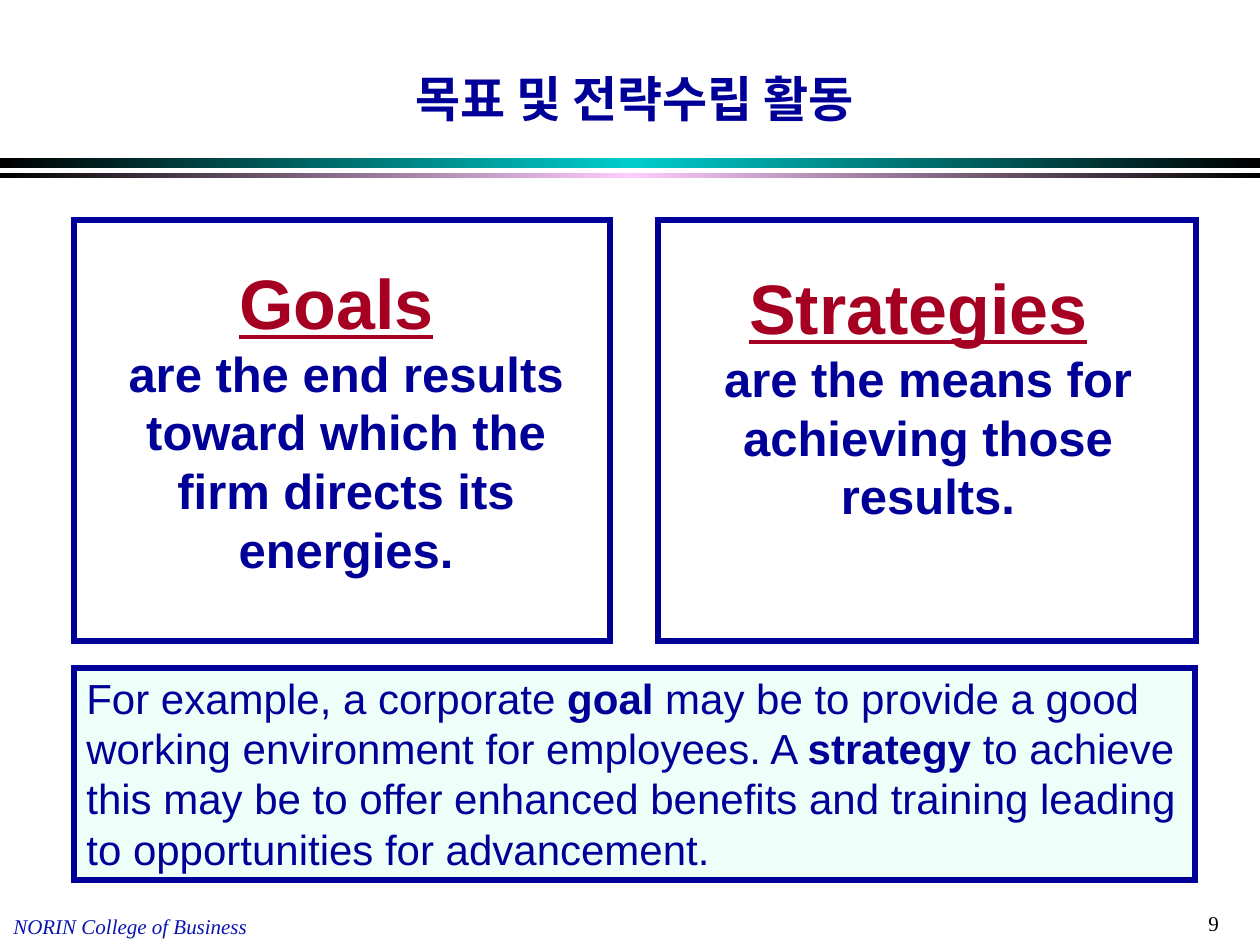
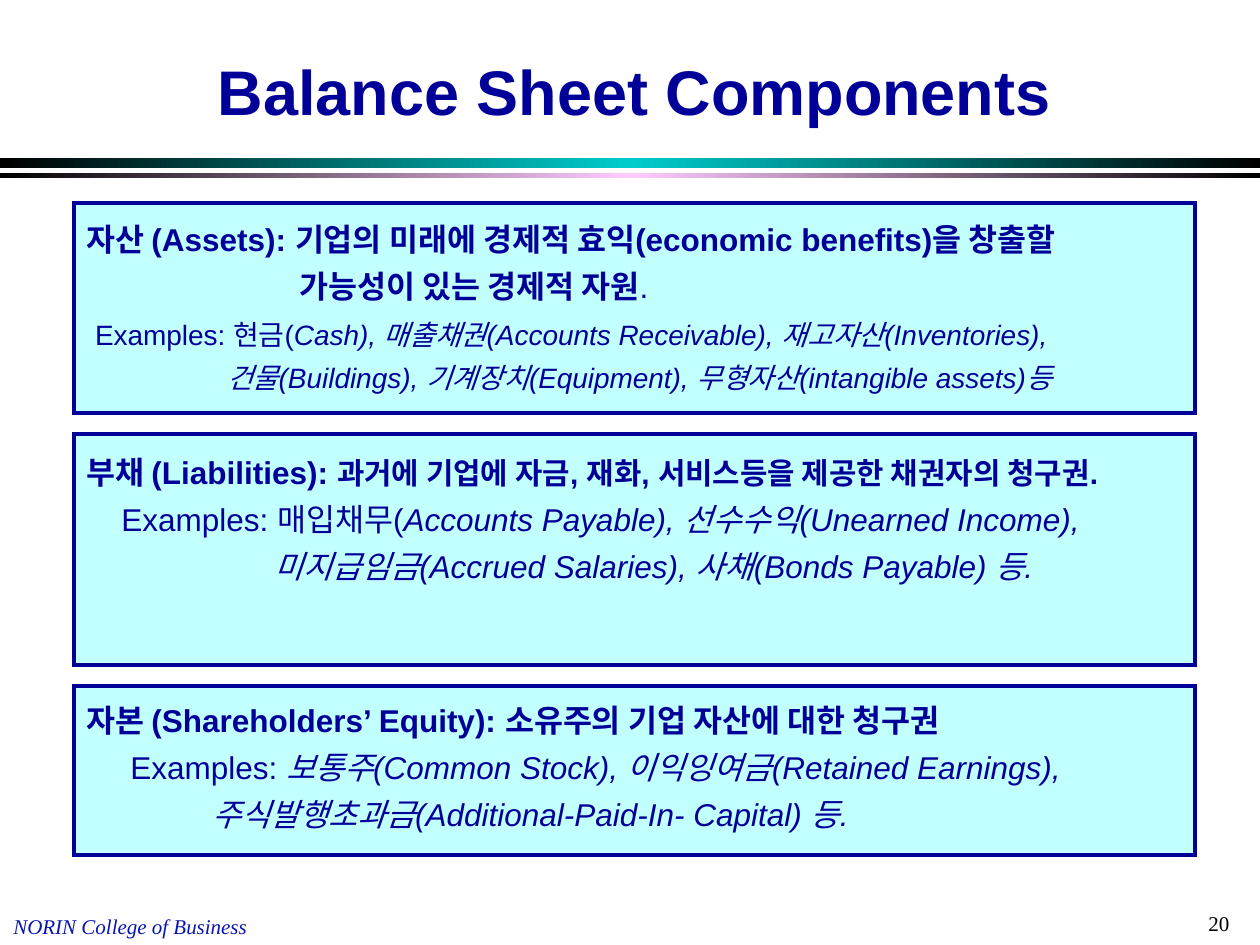
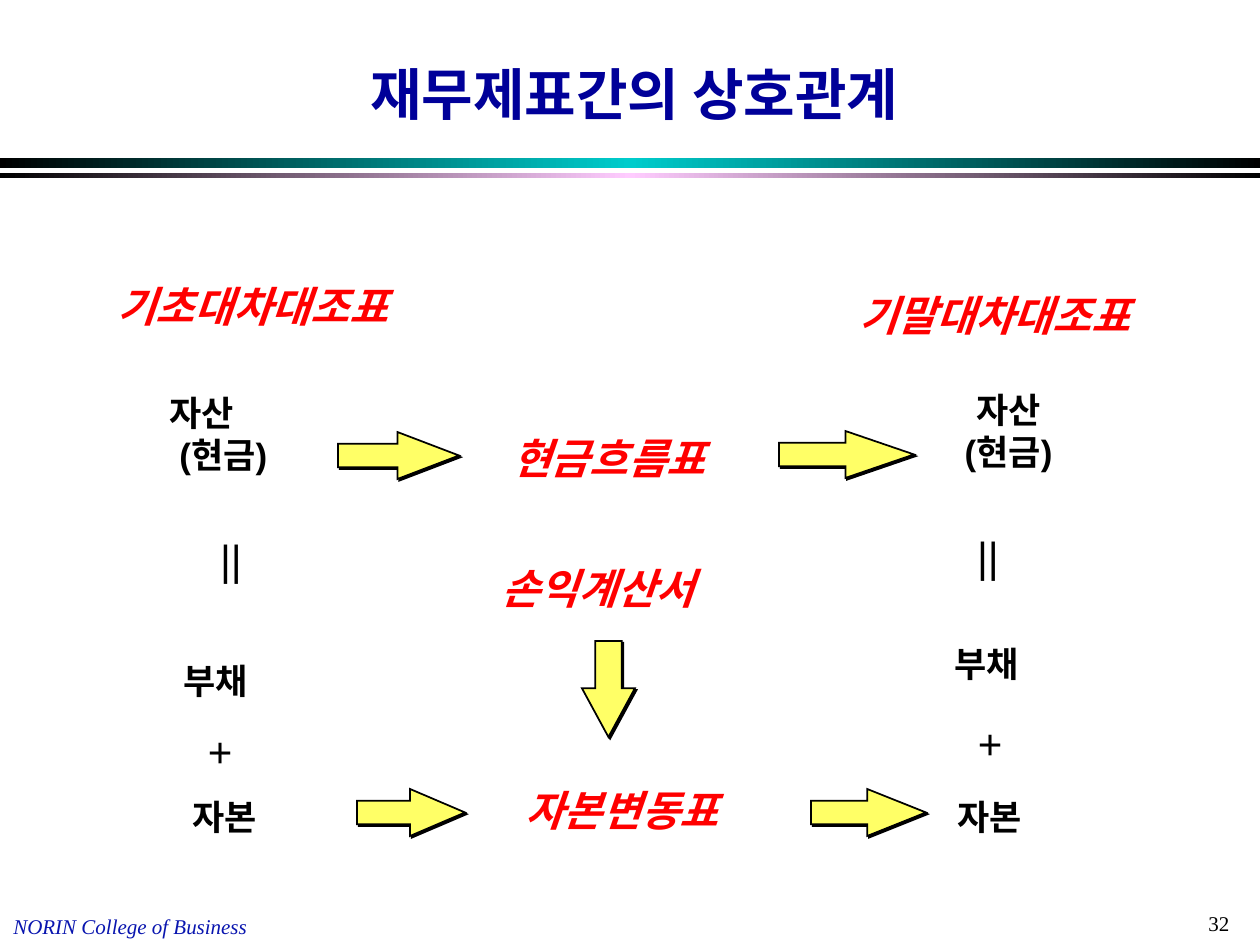
from copy import deepcopy
from dataclasses import dataclass

from lxml import etree
from pptx import Presentation
from pptx import util as u
from pptx.dml.color import RGBColor
from pptx.enum import shapes, text
from pptx.oxml.ns import qn

EMU_PER_PX = 914400 / 126
PAGE_WIDTH, PAGE_HEIGHT = 1260, 945
LEFT, CONTENT_WIDTH = 74, 1121
CENTER = text.PP_ALIGN.CENTER


@dataclass(frozen=True)
class Theme:
    sans: str = "Arial"
    serif: str = "Times New Roman"
    navy: str = "000099"
    crimson: str = "A50021"
    red: str = "FF0000"
    black: str = "000000"
    footer: str = "0915AF"
    teal: str = "00CCCC"
    pink: str = "FFCCFF"
    mint: str = "EEFFF9"
    aqua: str = "C2FFFF"
    yellow: str = "FFFF66"
    small: int = 12
    example: int = 16
    definition: int = 17
    body: int = 18
    item: int = 20
    label: int = 24
    lead: int = 28
    heading: int = 40


THEME = Theme()


@dataclass(frozen=True)
class Para:
    """Spans are (text, format) pairs; the indent is in px."""
    spans: list
    indent: int = 0


def px(length):
    return u.Emu(round(length * EMU_PER_PX))


def rgb(color):
    return RGBColor.from_string(color)


def place(shape, box):
    for name, length in zip(("left", "top", "width", "height"), box):
        setattr(shape, name, px(length))


def write(frame, paras, base, align=None, spacing=None):
    """Fill a text frame; each span's format is laid over the base format."""
    for number, content in enumerate(paras):
        para = frame.paragraphs[0] if number == 0 else frame.add_paragraph()
        para.alignment = align
        para.line_spacing = spacing
        if content.indent:
            para._p.get_or_add_pPr().set("marL", str(px(content.indent)))
        for words, changes in content.spans:
            span = para.add_run()
            span.text = words
            for name, value in {**base, **changes}.items():
                if name == "color":
                    span.font.color.rgb = rgb(value)
                else:
                    setattr(span.font, name, u.Pt(value) if name == "size" else value)


def style(size, color=THEME.navy, name=THEME.sans, **rest):
    return {"name": name, "size": size, "color": color, **rest}


def add_words(page, box, paras, base, **layout):
    frame = page.shapes.add_textbox(*map(px, box)).text_frame
    frame.word_wrap = True
    write(frame, paras, base, **layout)


def add_panel(page, box, fill, line_width, kind=shapes.MSO_SHAPE.RECTANGLE, line=THEME.navy):
    """Outlined shape with sharp corners."""
    panel = page.shapes.add_shape(kind, *map(px, box))
    panel.shadow.inherit = False
    if fill:
        panel.fill.solid()
        panel.fill.fore_color.rgb = rgb(fill)
    else:
        panel.fill.background()
    panel.line.color.rgb = rgb(line)
    panel.line.width = u.Pt(line_width)
    outline = panel._element.spPr.find(qn("a:ln"))
    etree.SubElement(outline, qn("a:miter"), lim="800000")
    return panel


def add_band(page, top, height, glow):
    """Full-width strip that fades from black to the glow colour and back."""
    band = page.shapes.add_shape(
        shapes.MSO_SHAPE.RECTANGLE, 0, px(top), px(PAGE_WIDTH), px(height))
    band.shadow.inherit = False
    band.line.fill.background()
    band.fill.gradient()
    band.fill.gradient_angle = 0
    stops = band._element.spPr.find(".//" + qn("a:gsLst"))
    stops.insert(1, deepcopy(stops[0]))
    colors = (THEME.black, glow, THEME.black)
    for stop, color, position in zip(band.fill.gradient_stops, colors, (0, 0.5, 1)):
        stop.color.rgb = rgb(color)
        stop.position = position


def add_page(deck, title, title_size, title_top, title_height, number):
    page = deck.slides.add_slide(deck.slide_layouts[5])
    add_band(page, 158, 10, THEME.teal)
    add_band(page, 173, 5, THEME.pink)
    add_words(page, (1196, 904, 74, 38), [Para([(str(number), {})])],
              style(THEME.small, THEME.black, THEME.serif))
    add_words(page, (1, 907, 300, 38), [Para([("NORIN College of Business", {})])],
              style(THEME.small, THEME.footer, THEME.serif, italic=True))
    place(page.shapes.title, (LEFT, title_top, CONTENT_WIDTH, title_height))
    frame = page.shapes.title.text_frame
    frame.vertical_anchor = text.MSO_ANCHOR.BOTTOM
    frame.auto_size = text.MSO_AUTO_SIZE.NONE
    frame.word_wrap = True
    write(frame, [Para([(title, {})])], style(title_size, bold=True), align=CENTER)
    return page


def add_definition(page, box, text_offset, term, meaning):
    left, top, _, height = box
    shift_x, shift_y = text_offset
    add_panel(page, box, None, 3)
    heading = {"size": THEME.heading, "color": THEME.crimson}
    add_words(page, (left + shift_x, top + shift_y, 496, height - shift_y),
              [Para([(term, {**heading, "underline": True}), (" ", heading)]),
               Para([(meaning, {})])],
              style(THEME.lead, bold=True), align=CENTER)


def add_example(page, box):
    left, top, width, height = box
    add_panel(page, box, THEME.mint, 3)
    strong = {"bold": True}
    spans = [
        ("For example, a corporate ", {}),
        ("goal", strong),
        (" may be to provide a good working environment for employees. A ", {}),
        ("strategy ", strong),
        ("to achieve this may be to offer enhanced benefits and training "
         "leading to opportunities for advancement.", {}),
    ]
    add_words(page, (left, top - 2, width, height), [Para(spans)], style(THEME.label))


def build_goals(deck):
    page = add_page(deck, "목표 및 전략수립 활동", 28, 31, 103, 9)
    add_definition(page, (658, 220, 538, 421), (22, 38), "Strategies",
                   "are the means for achieving those results.")
    add_definition(page, (LEFT, 220, 536, 421), (24, 33), "Goals",
                   "are the end results toward which the firm directs its energies.")
    add_example(page, (LEFT, 668, CONTENT_WIDTH, 212))


def add_component(page, top, height, text_shift, paras):
    add_panel(page, (LEFT, top, CONTENT_WIDTH, height), THEME.aqua, 2.25)
    add_words(page, (LEFT, top + text_shift, CONTENT_WIDTH, height), paras,
              style(THEME.body), spacing=1.25)


def build_balance_sheet(deck):
    page = add_page(deck, "Balance Sheet Components", 36, 27, 107, 20)
    strong, slanted = {"bold": True}, {"italic": True}
    small = {"size": THEME.example}
    add_component(page, 203, 210, 1, [
        Para([("자산 (Assets): 기업의 미래에 경제적 효익(economic benefits)을 창출할", strong)]),
        Para([("가능성이 있는 경제적 자원", strong), (".", {})], 213),
        Para([(" ", {}), ("Examples: 현금(", small),
              ("Cash), 매출채권(Accounts Receivable), 재고자산(Inventories),",
               {**small, **slanted})]),
        Para([("건물(Buildings), 기계장치(Equipment), 무형자산(intangible assets)등",
               {**small, **slanted})], 141),
    ])
    add_component(page, 434, 231, 3, [
        Para([("부채 (Liabilities): ", strong),
              ("과거에 기업에 자금, 재화, 서비스등을 제공한 채권자의 청구권.",
               {**strong, "size": THEME.definition})]),
        Para([("Examples: 매입채무(", {}),
              ("Accounts Payable), 선수수익(Unearned Income),", slanted)], 35),
        Para([("미지급임금(Accrued Salaries), 사채(Bonds Payable) 등.", slanted)], 188),
    ])
    add_component(page, 686, 169, -1, [
        Para([("자본 (Shareholders’ Equity): 소유주의 기업 자산에 대한 청구권", strong)]),
        Para([("Examples: ", {}),
              ("보통주(Common Stock), 이익잉여금(Retained Earnings),", slanted)], 44),
        Para([("주식발행초과금(Additional-Paid-In- Capital) 등.", slanted)], 126),
    ])


def add_arrow(page, box, head, kind=shapes.MSO_SHAPE.RIGHT_ARROW):
    arrow = add_panel(page, box, THEME.yellow, 1, kind, THEME.black)
    arrow.adjustments[0] = 0.5
    arrow.adjustments[1] = head
    effects = arrow._element.spPr.find(qn("a:effectLst"))
    shadow = etree.SubElement(effects, qn("a:outerShdw"), blurRad="0", dist="17780",
                              dir="2700000", algn="ctr", rotWithShape="0")
    etree.SubElement(shadow, qn("a:srgbClr"), val=THEME.black)


def add_label(page, box, words, base):
    add_words(page, box, [Para([(words, {})])], base, align=CENTER)


def add_statement_column(page, labels):
    """Equals sign, liabilities, plus sign and equity, each at its (centre, top)."""
    sign = style(THEME.label, THEME.black)
    item = style(THEME.item, THEME.black, bold=True)
    kinds = (("||", sign), ("부채", item), ("+", sign), ("자본", item))
    width, height = 120, 60
    for (center, top), (words, base) in zip(labels, kinds):
        add_label(page, (center - width // 2, top, width, height), words, base)


def build_relations(deck):
    page = add_page(deck, "재무제표간의 상호관계", 32, 5, 128, 32)
    statement = style(THEME.label, THEME.red, bold=True, italic=True)
    item = style(THEME.item, THEME.black, bold=True)
    for words, box in (
        ("현금흐름표", (489, 426, 240, 63)),
        ("손익계산서", (478, 556, 240, 63)),
        ("기초대차대조표", (64, 274, 377, 63)),
        ("기말대차대조표", (825, 283, 339, 63)),
    ):
        add_label(page, box, words, statement)
    add_words(page, (440, 788, 364, 53), [Para([("자본변동표", {})])], statement,
              align=CENTER, spacing=0.8)
    for box, head in (
        ((338, 432, 121, 47), 1.31),
        ((811, 789, 115, 47), 1.25),
        ((779, 431, 135, 47), 1.46),
        ((357, 789, 108, 47), 1.17),
    ):
        add_arrow(page, box, head)
    add_arrow(page, (582, 641, 53, 96), 0.92, shapes.MSO_SHAPE.DOWN_ARROW)
    add_words(page, (139, 385, 170, 97),
              [Para([("자산", {})], 18), Para([("(현금)", {})], 28)], item)
    add_words(page, (924, 382, 169, 97),
              [Para([("자산", {})]), Para([("(현금)", {})])], item, align=CENTER)
    add_statement_column(page, [(231, 527), (216, 653), (220, 719), (225, 789)])
    add_statement_column(page, [(988, 524), (987, 636), (990, 711), (990, 789)])


def main():
    deck = Presentation()
    deck.slide_width, deck.slide_height = px(PAGE_WIDTH), px(PAGE_HEIGHT)
    for build in (build_goals, build_balance_sheet, build_relations):
        build(deck)
    deck.save("out.pptx")


if __name__ == "__main__":
    main()
